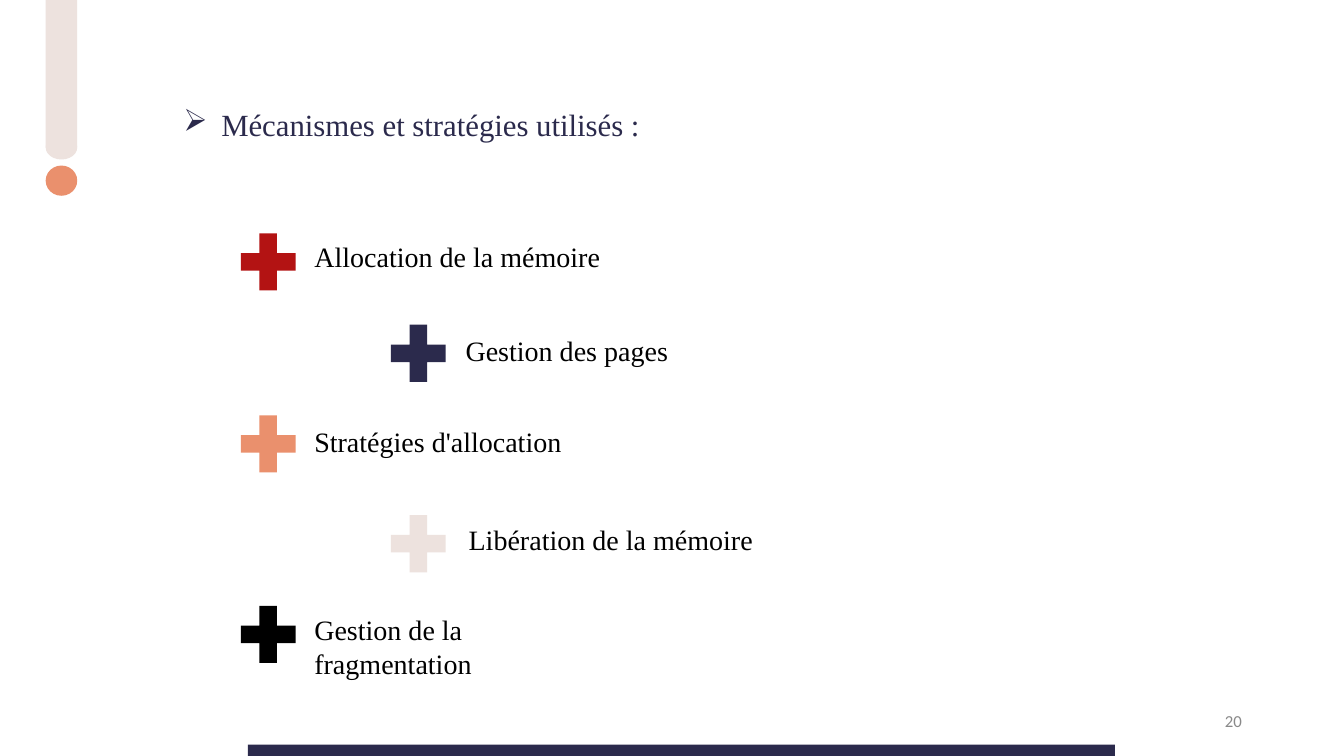
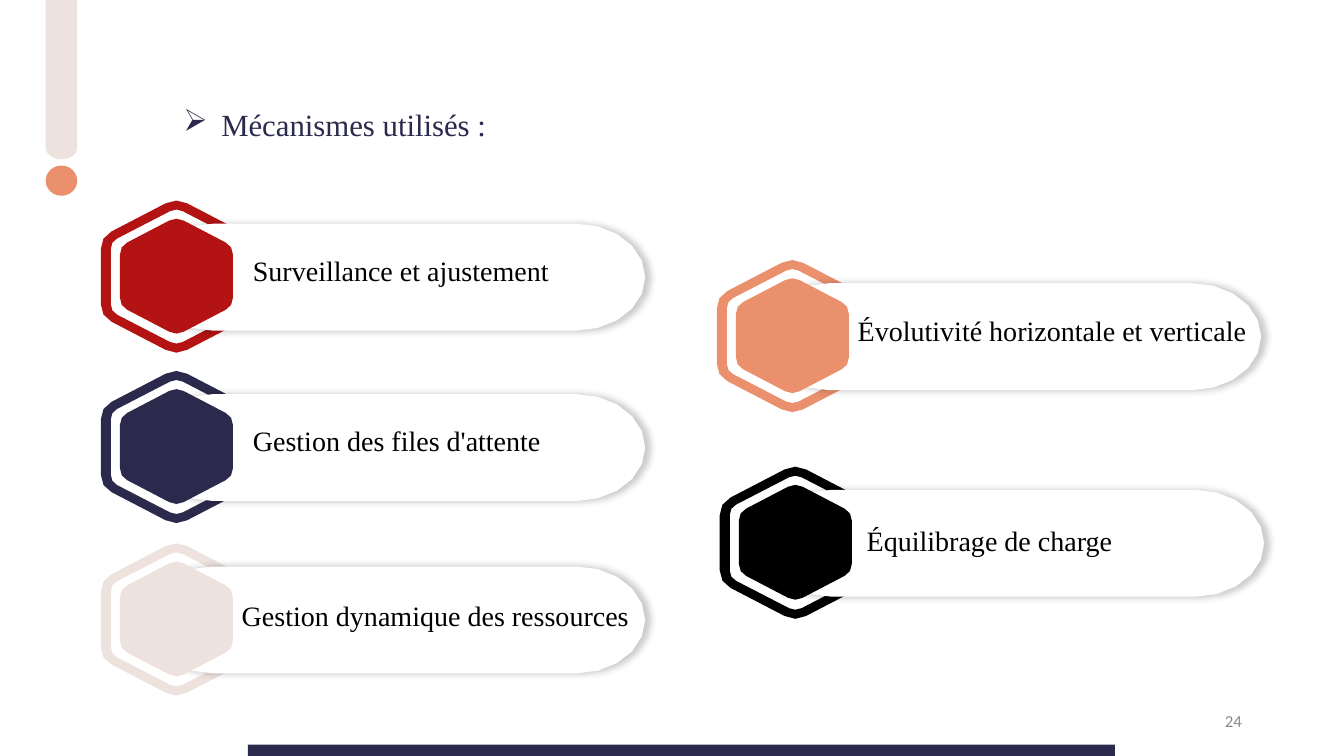
import math

import pptx
import pptx.util
import pptx.dml.color
import pptx.enum.shapes
import pptx.enum.text
from lxml import etree
from pptx.oxml.ns import qn

WIDTH = pptx.util.Inches(13.33)
HEIGHT = pptx.util.Inches(7.5)
SERIF = "Times New Roman"
RED, NAVY, CORAL, BLUSH = "B31313", "2B2A4C", "EA906D", "EDE2DE"
BLACK, WHITE, GREY = "000000", "FFFFFF", "898989"
PRESET = pptx.enum.shapes.MSO_SHAPE
ALIGN = pptx.enum.text.PP_ALIGN
ANCHOR = pptx.enum.text.MSO_ANCHOR
TITLE_ONLY = 5
LABEL_HEIGHT = 5.87
HEXAGON_SHOULDER = 0.24

STRATEGIES = [
    (RED, 17.18, 29.5, 22.65, 31.07, 50, "Allocation de la mémoire"),
    (NAVY, 28.35, 41.6, 33.9, 43.47, 32, "Gestion des pages"),
    (CORAL, 17.18, 53.6, 22.65, 55.47, 52, "Stratégies d'allocation"),
    (BLUSH, 28.35, 66.8, 34.13, 68.4, 25, "Libération de la mémoire"),
    (BLACK, 17.18, 78.8, 22.65, 80.4, 24, "Gestion de la fragmentation"),
]
MECHANISMS = [
    (RED, 7.5, 26.53, 18.08, 32.93, "Surveillance et ajustement"),
    (NAVY, 7.5, 49.07, 18.08, 55.33, "Gestion des files d'attente"),
    (CORAL, 53.33, 34.4, 63.08, 40.8, "Évolutivité horizontale et verticale"),
    (BLUSH, 7.5, 71.87, 17.25, 78.53, "Gestion dynamique des ressources"),
    (BLACK, 53.55, 61.73, 63.75, 68.53, "Équilibrage de charge"),
]


def rgb(value):
    return pptx.dml.color.RGBColor.from_string(value)


def box(left, top, width, height):
    """Turn percentages of the slide into lengths."""
    return [round(share * side / 100) for share, side in
            zip((left, top, width, height), (WIDTH, HEIGHT, WIDTH, HEIGHT))]


def paint(shape, color):
    shape.shadow.inherit = False
    shape.fill.solid()
    shape.fill.fore_color.rgb = rgb(color)
    shape.line.fill.background()
    return shape


def add_preset(slide, preset, area, color):
    return paint(slide.shapes.add_shape(preset, *box(*area)), color)


def write_text(frame, text, size=20, color=BLACK, font=SERIF, align=ALIGN.LEFT,
               anchor=ANCHOR.TOP, bullet=None):
    frame.word_wrap = True
    frame.auto_size = pptx.enum.text.MSO_AUTO_SIZE.NONE
    frame.vertical_anchor = anchor
    paragraph = frame.paragraphs[0]
    paragraph.alignment = align
    if bullet:
        properties = paragraph._p.get_or_add_pPr()
        properties.set("marL", "342900")
        properties.set("indent", "-342900")
        etree.SubElement(properties, qn("a:buChar")).set("char", bullet)
    run = paragraph.add_run()
    run.text = text
    run.font.size = pptx.util.Pt(size)
    run.font.name = font
    run.font.color.rgb = rgb(color)


def add_label(slide, area, text, **text_format):
    label = slide.shapes.add_textbox(*box(*area))
    write_text(label.text_frame, text, **text_format)


def hexagon(area, rounding, steps=2):
    left, top, width, height = box(*area)
    cut = pptx.util.Inches(rounding)
    overshoot = cut * 0.23
    middle, right, bottom = left + width / 2, left + width, top + height
    upper = top + height * HEXAGON_SHOULDER
    lower = bottom - height * HEXAGON_SHOULDER
    corners = [(middle, top - overshoot), (right, upper), (right, lower),
               (middle, bottom + overshoot), (left, lower), (left, upper)]

    def toward(start, end):
        share = cut / math.dist(start, end)
        return [a + (b - a) * share for a, b in zip(start, end)]

    points = []
    for index, corner in enumerate(corners):
        entry = toward(corner, corners[index - 1])
        leave = toward(corner, corners[(index + 1) % len(corners)])
        for step in range(steps + 1):
            t = step / steps
            points.append(tuple((1 - t) ** 2 * a + 2 * t * (1 - t) * b + t ** 2 * c
                                for a, b, c in zip(entry, corner, leave)))
    return points


def pill(area, steps=10):
    left, top, width, height = box(*area)
    radius_x, radius_y = width * 0.137, height / 2
    ends = [(left + width - radius_x, -90), (left + radius_x, 90)]
    points = []
    for center, start in ends:
        for step in range(steps + 1):
            angle = math.radians(start + 180 * step / steps)
            points.append((center + radius_x * math.cos(angle),
                           top + radius_y + radius_y * math.sin(angle)))
    return points


def add_outline(slide, color, *contours):
    builder = slide.shapes.build_freeform(*contours[0][0])
    builder.add_line_segments(contours[0][1:], close=True)
    for contour in contours[1:]:
        builder.move_to(*contour[0])
        builder.add_line_segments(contour[1:], close=True)
    return paint(builder.convert_to_shape(), color)


def add_soft_shadow(shape):
    effects = shape._element.spPr.find(qn("a:effectLst"))
    shadow = etree.SubElement(effects, qn("a:outerShdw"), blurRad="63500", sx="101000",
                              sy="101000", algn="l", rotWithShape="0")
    shade = etree.SubElement(shadow, qn("a:srgbClr"), val=BLACK)
    etree.SubElement(shade, qn("a:alpha"), val="20000")


def add_badge(slide, color, left, top):
    add_outline(slide, color,
                hexagon((left, top, 11.25, 20.13), 0.12),
                hexagon((left + 0.75, top + 1.2, 9.75, 17.73), 0.07)[::-1])
    add_soft_shadow(add_outline(slide, WHITE, pill((left + 3.23, top + 3.07, 37.28, 14.13))))
    add_outline(slide, color, hexagon((left + 1.43, top + 2.4, 8.4, 15.2), 0.08))


def add_page(deck, title, number):
    slide = deck.slides.add_slide(deck.slide_layouts[TITLE_ONLY])
    add_preset(slide, PRESET.RECTANGLE, (3.4, 0, 2.35, 19.5), BLUSH)
    add_preset(slide, PRESET.OVAL, (3.4, 17.9, 2.35, 3.2), BLUSH)
    add_preset(slide, PRESET.OVAL, (3.4, 21.9, 2.35, 4), CORAL)
    add_preset(slide, PRESET.RECTANGLE, (18.45, 98.5, 64.5, 1.5), NAVY)
    heading = slide.shapes.title
    heading.left, heading.top, heading.width, heading.height = box(12.9, 13.33, 53.9, 6.27)
    write_text(heading.text_frame, title, size=22, color=NAVY, bullet="➢")
    add_label(slide, (70.65, 92.67, 22.5, 5.33), number, size=12, color=GREY,
              font="Calibri", align=ALIGN.RIGHT, anchor=ANCHOR.MIDDLE)
    return slide


def build_strategies(deck):
    slide = add_page(deck, "Mécanismes et stratégies utilisés :", "20")
    for color, plus_left, plus_top, text_left, text_top, text_width, text in STRATEGIES:
        add_preset(slide, PRESET.MATH_PLUS, (plus_left, plus_top, 5.55, 10.27), color)
        add_label(slide, (text_left, text_top, text_width, LABEL_HEIGHT), text)


def build_mechanisms(deck):
    slide = add_page(deck, "Mécanismes utilisés :", "24")
    for color, badge_left, badge_top, text_left, text_top, text in MECHANISMS:
        add_badge(slide, color, badge_left, badge_top)
        add_label(slide, (text_left, text_top, 32.1, LABEL_HEIGHT), text)


def main():
    deck = pptx.Presentation()
    deck.slide_width, deck.slide_height = WIDTH, HEIGHT
    build_strategies(deck)
    build_mechanisms(deck)
    deck.save("out.pptx")


if __name__ == "__main__":
    main()
